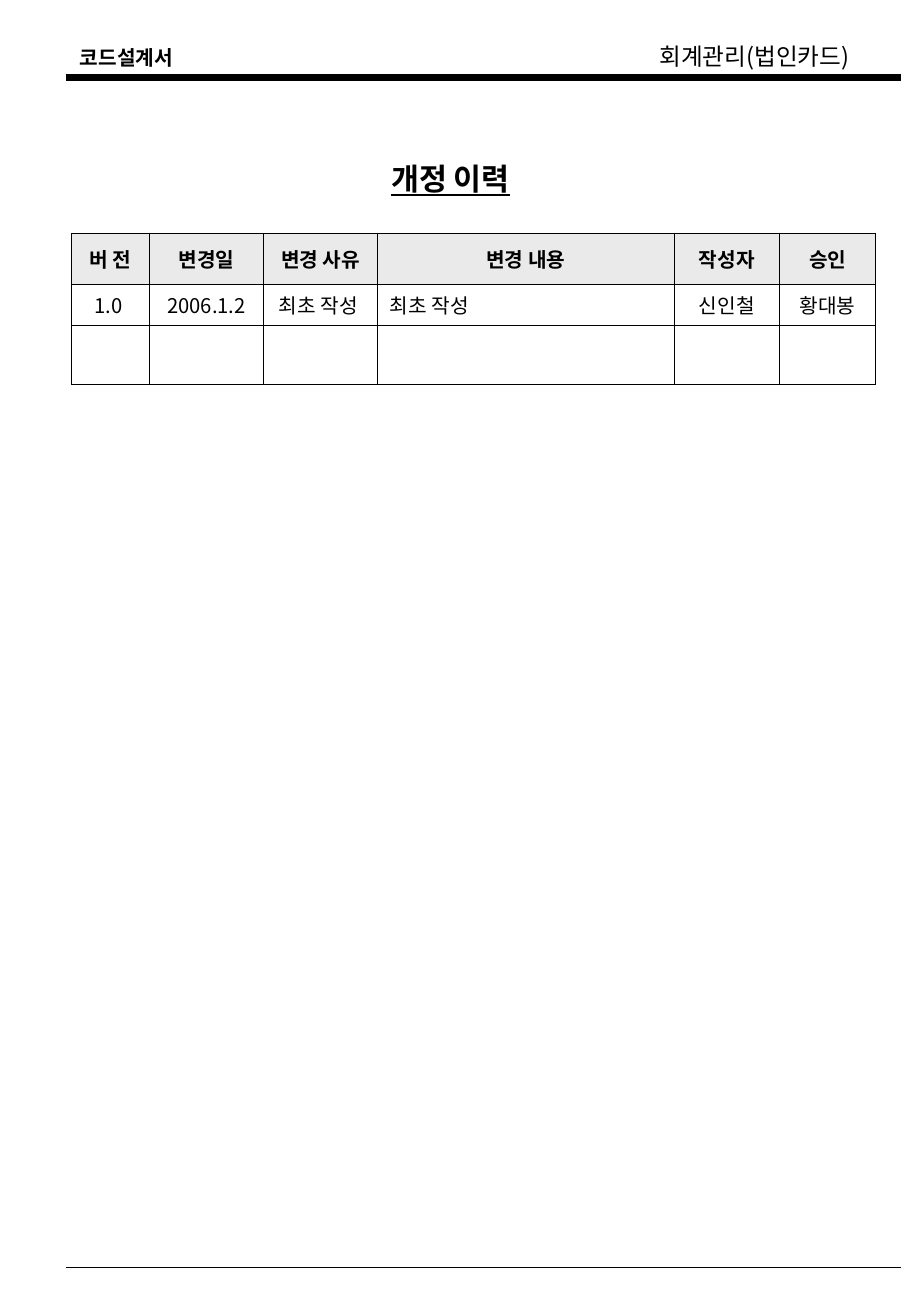
from lxml.etree import SubElement
from pptx import Presentation
from pptx.dml.color import RGBColor
from pptx.enum.shapes import MSO_CONNECTOR
from pptx.enum.text import MSO_ANCHOR, MSO_AUTO_SIZE, PP_ALIGN
from pptx.oxml import parse_xml
from pptx.oxml.ns import nsdecls, qn
from pptx.util import Inches, Pt

WIDE, HIGH = Inches(7.5), Inches(10.84)
COLS, ROWS = 750, 1084
FACE = "Noto Sans CJK KR"
BLACK, GRAY = "000000", "EAEAEA"
WIDTHS = [64, 94, 94, 244, 87, 79]
HEIGHTS = [42, 34, 49]
CELLS = [
    ["버 전", "변경일", "변경 사유", "변경 내용", "작성자", "승인"],
    ["1.0 ", "2006.1.2", "최초 작성 ", "최초 작성", "신인철", "황대봉"],
    [""] * 6,
]


def hue(code):
    return RGBColor.from_string(code)


def across(cols):
    return round(WIDE * cols / COLS)


def down(rows):
    return round(HIGH * rows / ROWS)


def box(left, top, wide, high):
    return across(left), down(top), across(wide), down(high)


def assign(item, props):
    for name, value in props.items():
        setattr(item, name, value)


def write(frame, text, size, align=PP_ALIGN.LEFT, before=0, **style):
    para = frame.paragraphs[0]
    assign(para, {"alignment": align, "space_before": Pt(before)})
    run = para.add_run()
    run.text = text
    assign(run.font, {"name": FACE, "size": Pt(size), **style})
    run.font.color.rgb = hue(BLACK)
    SubElement(run.font._element, qn("a:ea"), typeface=FACE)


def add_label(slide, place, text, size, bold):
    frame = slide.shapes.add_textbox(*place).text_frame
    assign(frame, {"word_wrap": True, "auto_size": MSO_AUTO_SIZE.SHAPE_TO_FIT_TEXT})
    write(frame, text, size, bold=bold)


def add_rule(slide, row, weight):
    left, right, y = across(54), across(742), down(row)
    rule = slide.shapes.add_connector(MSO_CONNECTOR.STRAIGHT, left, y, right, y)
    rule.line.width = Pt(weight)
    rule.line.color.rgb = hue(BLACK)
    SubElement(rule._element.spPr, qn("a:effectLst"))


def set_title(slide, place, text):
    title = slide.shapes.title
    assign(title, dict(zip(("left", "top", "width", "height"), place)))
    frame = title.text_frame
    assign(frame, {
        "word_wrap": True,
        "vertical_anchor": MSO_ANCHOR.TOP,
        "auto_size": MSO_AUTO_SIZE.SHAPE_TO_FIT_TEXT,
    })
    write(frame, text, 18, bold=True, underline=True)


def add_edges(cell, weight):
    props = cell._tc.get_or_add_tcPr()
    for spot, side in enumerate(("lnL", "lnR", "lnT", "lnB")):
        props.insert(spot, parse_xml(
            f'<a:{side} {nsdecls("a")} w="{Pt(weight)}"><a:solidFill>'
            f'<a:srgbClr val="{BLACK}"/></a:solidFill></a:{side}>'))


def fill_cell(cell, text, head, align):
    cell.vertical_anchor = MSO_ANCHOR.MIDDLE
    if head:
        cell.fill.solid()
        cell.fill.fore_color.rgb = hue(GRAY)
    else:
        cell.fill.background()
    add_edges(cell, 0.45)
    if text:
        write(cell.text_frame, text, 12, align, 3, bold=head)


def add_log(slide):
    place = box(59, 192, sum(WIDTHS), sum(HEIGHTS))
    table = slide.shapes.add_table(len(HEIGHTS), len(WIDTHS), *place).table
    assign(table, {"first_row": False, "horz_banding": False})
    for col, wide in zip(table.columns, WIDTHS):
        col.width = across(wide)
    for r, high in enumerate(HEIGHTS):
        table.rows[r].height = down(high)
        for c, text in enumerate(CELLS[r]):
            align = PP_ALIGN.LEFT if r and c == 3 else PP_ALIGN.CENTER
            fill_cell(table.cell(r, c), text, r == 0, align)


def main():
    deck = Presentation()
    assign(deck, {"slide_width": WIDE, "slide_height": HIGH})
    slide = deck.slides.add_slide(deck.slide_layouts[5])
    add_label(slide, box(56, 32, 110, 30), "코드설계서", 12, True)
    add_rule(slide, 64, 4.5)
    add_rule(slide, 1044, 1)
    add_label(slide, box(533, 30, 200, 34), "회계관리(법인카드)", 14, False)
    set_title(slide, box(312, 127, 153, 40), "개정 이력")
    add_log(slide)
    deck.save("out.pptx")


if __name__ == "__main__":
    main()
